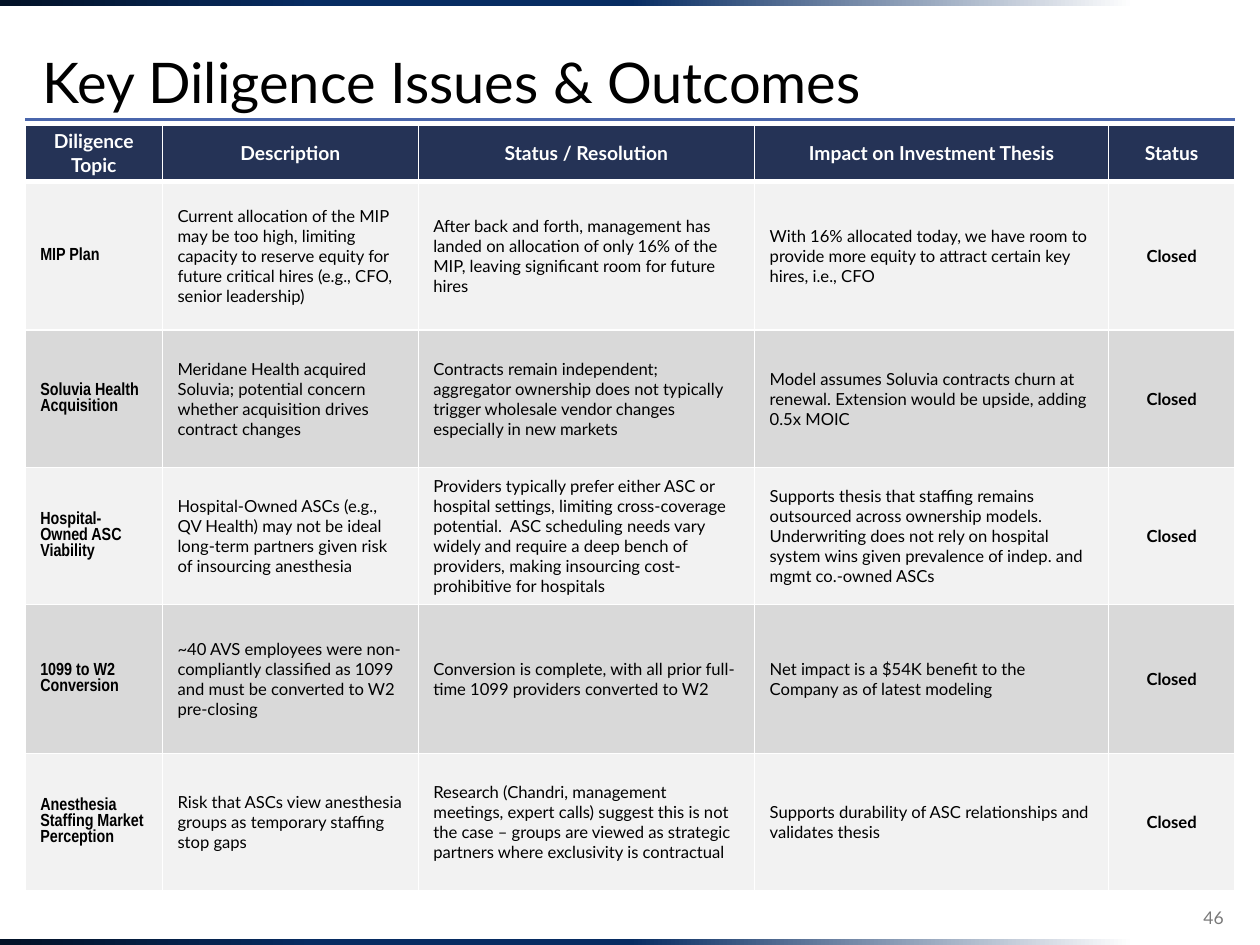
from dataclasses import astuple, dataclass

from lxml import etree
from pptx import Presentation
from pptx import util as u
from pptx.dml.color import RGBColor
from pptx.enum import shapes, text
from pptx.oxml.ns import qn

WIDTH, HEIGHT = 10, 7.5
MARGIN = 0.02 * WIDTH
BAR_HEIGHT = 0.05

BLACK = RGBColor(0x00, 0x00, 0x00)
WHITE = RGBColor(0xFF, 0xFF, 0xFF)
GREY = RGBColor(0x79, 0x79, 0x79)
RULE_BLUE = RGBColor(0x4A, 0x66, 0xAC)
HEADER_NAVY = RGBColor(0x25, 0x33, 0x56)
ROW_LIGHT = RGBColor(0xF2, 0xF2, 0xF2)
ROW_DARK = RGBColor(0xD9, 0xD9, 0xD9)
BAR_NIGHT = RGBColor(0x03, 0x12, 0x27)
BAR_NAVY = RGBColor(0x07, 0x2C, 0x62)
BAR_STOPS = [(0, BAR_NIGHT), (25, BAR_NAVY), (50, BAR_NAVY), (90, WHITE)]

LEFT, CENTER, RIGHT = (text.PP_ALIGN.LEFT, text.PP_ALIGN.CENTER,
                       text.PP_ALIGN.RIGHT)
COLUMNS = [1.09, 2.03, 2.67, 2.81, 1.0]
ROWS = [0.45, 1.18, 1.09, 1.09, 1.18, 1.09]


@dataclass
class Issue:
    topic: str
    description: str
    resolution: str
    impact: str
    status: str = "Closed"


HEADER = Issue("Diligence Topic", "Description", "Status / Resolution",
               "Impact on Investment Thesis", "Status")
ISSUES = [
    Issue("MIP Plan",
          "Current allocation of the MIP may be too high, limiting capacity to "
          "reserve equity for future critical hires (e.g., CFO, senior leadership)",
          "After back and forth, management has landed on allocation of only 16% "
          "of the MIP, leaving significant room for future hires",
          "With 16% allocated today, we have room to provide more equity to "
          "attract certain key hires, i.e., CFO"),
    Issue("Soluvia Health Acquisition",
          "Meridane Health acquired Soluvia; potential concern whether "
          "acquisition drives contract changes",
          "Contracts remain independent; aggregator ownership does not typically "
          "trigger wholesale vendor changes especially in new markets",
          "Model assumes Soluvia contracts churn at renewal. Extension would be "
          "upside, adding 0.5x MOIC"),
    Issue("Hospital-Owned ASC Viability",
          "Hospital-Owned ASCs (e.g., QV Health) may not be ideal long-term "
          "partners given risk of insourcing anesthesia",
          "Providers typically prefer either ASC or hospital settings, limiting "
          "cross-coverage potential.  ASC scheduling needs vary widely and "
          "require a deep bench of providers, making insourcing cost-prohibitive "
          "for hospitals",
          "Supports thesis that staffing remains outsourced across ownership "
          "models. Underwriting does not rely on hospital system wins given "
          "prevalence of indep. and mgmt co.-owned ASCs"),
    Issue("1099 to W2 Conversion",
          "~40 AVS employees were non-compliantly classified as 1099 and must be "
          "converted to W2 pre-closing",
          "Conversion is complete, with all prior full-time 1099 providers "
          "converted to W2",
          "Net impact is a $54K benefit to the Company as of latest modeling"),
    Issue("Anesthesia Staffing Market Perception",
          "Risk that ASCs view anesthesia groups as temporary staffing stop gaps",
          "Research (Chandri, management meetings, expert calls) suggest this is "
          "not the case – groups are viewed as strategic partners where "
          "exclusivity is contractual",
          "Supports durability of ASC relationships and validates thesis"),
]


def write(frame, words: str, *, size: float, font="Lato", color=BLACK,
          bold=False, align=LEFT, spacing=1.0) -> None:
    """Put one formatted paragraph into a text frame."""
    frame.word_wrap = True
    para = frame.paragraphs[0]
    para.alignment, para.line_spacing = align, spacing
    span = para.add_run()
    span.text = words
    span.font.name, span.font.size = font, u.Pt(size)
    span.font.bold, span.font.color.rgb = bold, color


def add_text(page, words: str, place: tuple, anchor, **style) -> None:
    box = page.shapes.add_textbox(*map(u.Inches, place))
    box.text_frame.vertical_anchor = anchor
    write(box.text_frame, words, **style)


def add_bar(page, top: float) -> None:
    """Full-width strip that fades from navy to white."""
    bar = page.shapes.add_shape(shapes.MSO_SHAPE.RECTANGLE, 0, u.Inches(top),
                                u.Inches(WIDTH), u.Inches(BAR_HEIGHT))
    bar.shadow.inherit = False
    bar.line.fill.background()
    bar.fill.gradient()
    bar.fill.gradient_angle = 0
    stops = bar._element.spPr.find(qn("a:gradFill")).find(qn("a:gsLst"))
    for old in list(stops):
        stops.remove(old)
    for share, color in BAR_STOPS:
        stop = etree.SubElement(stops, qn("a:gs"), pos=str(share * 1000))
        etree.SubElement(stop, qn("a:srgbClr"), val=str(color))


def add_rule(page, top: float) -> None:
    rule = page.shapes.add_connector(
        shapes.MSO_CONNECTOR.STRAIGHT, u.Inches(MARGIN), u.Inches(top),
        u.Inches(WIDTH - MARGIN), u.Inches(top))
    rule.line.color.rgb, rule.line.width = RULE_BLUE, u.Pt(1.5)
    etree.SubElement(rule._element.spPr, qn("a:effectLst"))


def set_borders(cell, **widths: float) -> None:
    """White borders, widths in points, in the order L, R, T, B."""
    props = cell._tc.get_or_add_tcPr()
    for place, (side, width) in enumerate(widths.items()):
        line = etree.Element(qn(f"a:ln{side}"), w=str(u.Pt(width)))
        fill = etree.SubElement(line, qn("a:solidFill"))
        etree.SubElement(fill, qn("a:srgbClr"), val=str(WHITE))
        props.insert(place, line)


def cell_style(row: int, column: int) -> dict:
    if row == 0:
        return dict(size=11, color=WHITE, bold=True, align=CENTER)
    if column == 0:
        return dict(size=10, font="Arial Narrow", bold=True)
    if column == len(COLUMNS) - 1:
        return dict(size=9.5, bold=True, align=CENTER)
    return dict(size=9.5)


def add_issue_table(page, top: float) -> None:
    table = page.shapes.add_table(
        len(ROWS), len(COLUMNS), u.Inches(MARGIN), u.Inches(top),
        u.Inches(sum(COLUMNS)), u.Inches(sum(ROWS))).table
    for column, width in zip(table.columns, COLUMNS):
        column.width = u.Inches(width)
    for r, issue in enumerate([HEADER, *ISSUES]):
        table.rows[r].height = u.Inches(ROWS[r])
        fill = HEADER_NAVY if r == 0 else (ROW_LIGHT if r % 2 else ROW_DARK)
        for c, words in enumerate(astuple(issue)):
            cell = table.cell(r, c)
            cell.fill.solid()
            cell.fill.fore_color.rgb = fill
            cell.vertical_anchor = text.MSO_ANCHOR.MIDDLE
            cell.margin_left = cell.margin_right = u.Inches(0.12)
            cell.margin_top = cell.margin_bottom = u.Inches(0.05 if r else 0.03)
            set_borders(cell, L=1, R=1, T=(0.25, 3, 1)[min(r, 2)],
                        B=1 if r else 3)
            write(cell.text_frame, words, **cell_style(r, c))


def main() -> None:
    deck = Presentation()
    deck.slide_width, deck.slide_height = u.Inches(WIDTH), u.Inches(HEIGHT)
    page = deck.slides.add_slide(deck.slide_layouts[6])

    # Frame of the page
    add_rule(page, 0.95)
    for top in (HEIGHT - BAR_HEIGHT, 0):
        add_bar(page, top)

    # Title and page number
    add_text(page, "Key Diligence Issues & Outcomes", (0.24, 0.24, 9.51, 0.73),
             text.MSO_ANCHOR.BOTTOM, size=32, spacing=0.9)
    add_text(page, "46", (8.17, 7.08, 1.64, 0.4), text.MSO_ANCHOR.MIDDLE,
             size=10, color=GREY, align=RIGHT)

    # Issues
    add_issue_table(page, 0.99)
    deck.save("out.pptx")


if __name__ == "__main__":
    main()
